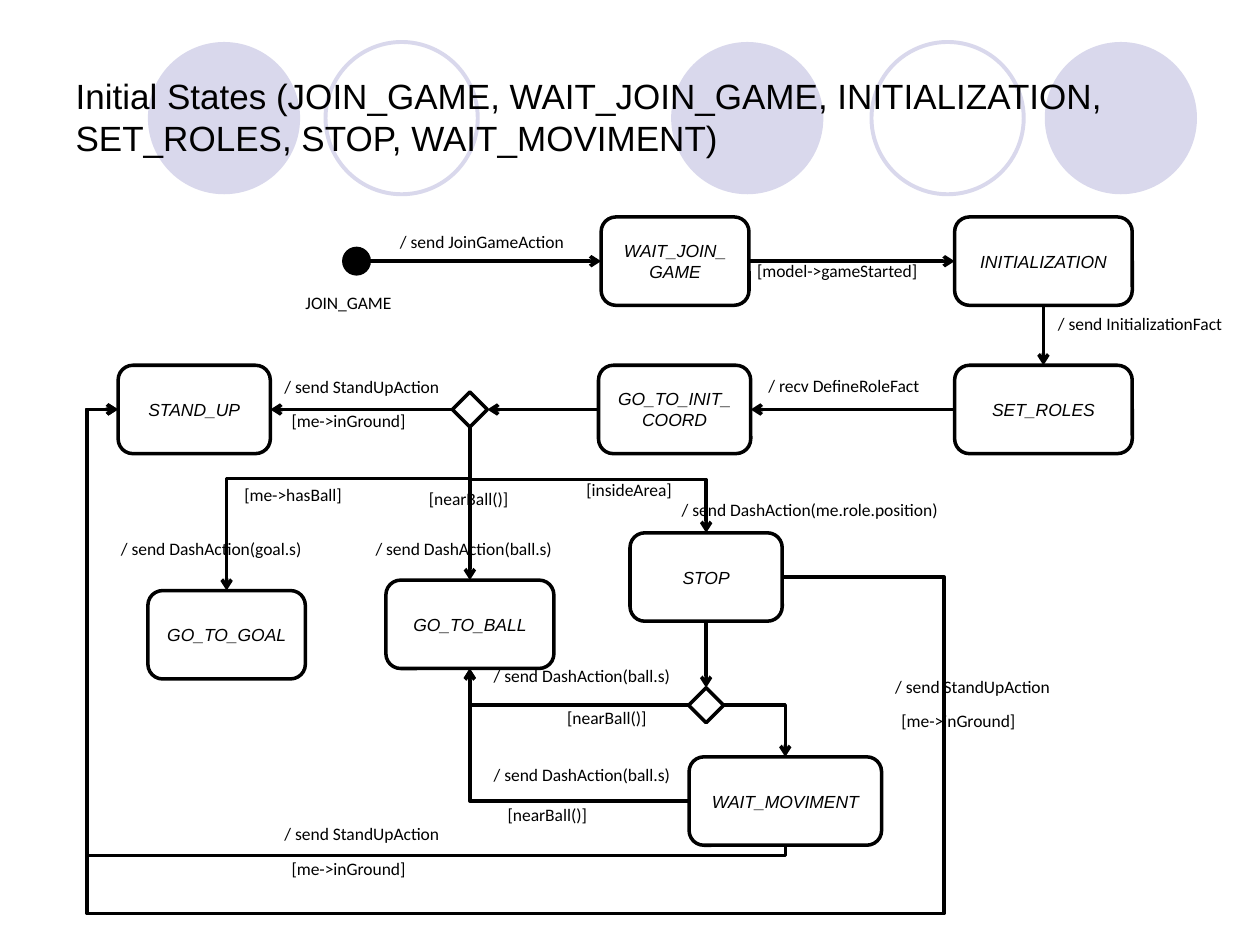
"""Build the slide with the state diagram of a robot team's initial states."""
from lxml import etree
from pptx import Presentation
from pptx import util as u
from pptx.dml import color
from pptx.enum import shapes, text
from pptx.oxml import ns

BLACK, WHITE, LILAC = "000000", "FFFFFF", "D9D8EC"
TOP, LEFT, BOTTOM, RIGHT = range(4)
TITLE = ("Initial States (JOIN_GAME, WAIT_JOIN_GAME, INITIALIZATION, "
         "SET_ROLES, STOP, WAIT_MOVIMENT)")
CIRCLE_SIZE = 87
CIRCLES = [(84.5, True), (186, False), (383.5, True), (498, False), (597, True)]

STATE_HEIGHT = 50.5
STATES = {
    "WAIT_JOIN_GAME": (343.5, 124, 84.5),
    "INITIALIZATION": (545.5, 124, 101.5),
    "SET_ROLES": (545.5, 208.75, 101.5),
    "GO_TO_INIT_COORD": (342, 208.75, 87),
    "STAND_UP": (67.5, 208.75, 87),
    "GO_TO_GOAL": (84.5, 337.5, 90),
    "GO_TO_BALL": (220.5, 331.5, 96),
    "STOP": (360, 304.5, 87),
    "WAIT_MOVIMENT": (393.75, 432.5, 110),
}
MARKERS = {
    "start": (shapes.MSO_SHAPE.OVAL, 196.5, 142, 14.5, BLACK),
    "role choice": (shapes.MSO_SHAPE.DIAMOND, 258.5, 224, 20, WHITE),
    "stop choice": (shapes.MSO_SHAPE.DIAMOND, 393.5, 393, 20, WHITE),
}
STRAIGHT_ARROWS = [
    ("start", RIGHT, "WAIT_JOIN_GAME", LEFT),
    ("WAIT_JOIN_GAME", RIGHT, "INITIALIZATION", LEFT),
    ("INITIALIZATION", BOTTOM, "SET_ROLES", TOP),
    ("SET_ROLES", LEFT, "GO_TO_INIT_COORD", RIGHT),
    ("GO_TO_INIT_COORD", LEFT, "role choice", RIGHT),
    ("role choice", LEFT, "STAND_UP", RIGHT),
    ("role choice", BOTTOM, "GO_TO_BALL", TOP),
    ("STOP", BOTTOM, "stop choice", TOP),
]
ELBOW_ARROWS = [
    ("role choice", BOTTOM, "GO_TO_GOAL", TOP, [273.5]),
    ("role choice", BOTTOM, "STOP", TOP, [274]),
    ("stop choice", RIGHT, "WAIT_MOVIMENT", TOP, []),
    ("stop choice", LEFT, "GO_TO_BALL", BOTTOM, []),
    ("WAIT_MOVIMENT", LEFT, "GO_TO_BALL", BOTTOM, []),
    ("STOP", RIGHT, "STAND_UP", LEFT, [539.5, 522, 49.5]),
    ("WAIT_MOVIMENT", BOTTOM, "STAND_UP", LEFT, [489, 49.5]),
]
LABELS = [
    ("/ send JoinGameAction", 108, [(221.5, 128.5)]),
    ("JOIN_GAME", 63.5, [(167.5, 163.5)]),
    ("[model->gameStarted]", 106, [(425.5, 145)]),
    ("/ send InitializationFact", 108.5, [(597.5, 175.5)]),
    ("/ recv DefineRoleFact", 101, [(432, 211)]),
    ("/ send StandUpAction", 103, [(155.5, 211.5), (155.5, 466.5), (504.5, 382.5)]),
    ("[me->inGround]", 79.5, [(159.5, 231), (159.5, 486.5), (508, 402)]),
    ("[me->hasBall]", 70, [(132.5, 273)]),
    ("[nearBall()]", 60, [(238, 275.5), (317, 400.5), (283, 456)]),
    ("[insideArea]", 63.5, [(328, 270)]),
    ("/ send DashAction(goal.s)", 117.5, [(62, 304)]),
    ("/ send DashAction(ball.s)", 115, [(207.5, 304), (275, 376.5), (275, 433)]),
    ("/ send DashAction(me.role.position)", 160.5, [(382.5, 281.5)]),
]


def rgb(code):
    """Return the colour for a hex string."""
    return color.RGBColor.from_string(code)


def write(shape, words, size=10, font="Calibri", italic=False, wrap=True,
          align=text.PP_ALIGN.LEFT, anchor=text.MSO_ANCHOR.MIDDLE,
          fit=text.MSO_AUTO_SIZE.NONE):
    """Put one formatted paragraph into a shape."""
    frame = shape.text_frame
    frame.word_wrap, frame.vertical_anchor, frame.auto_size = wrap, anchor, fit
    paragraph = frame.paragraphs[0]
    paragraph.alignment = align
    run = paragraph.add_run()
    run.text = words
    run.font.size, run.font.name, run.font.italic = u.Pt(size), font, italic
    run.font.color.rgb = rgb(BLACK)


def add_shape(slide, kind, left, top, width, height, fill=None, line=None, weight=2):
    """Add a preset shape without shadow."""
    shape = slide.shapes.add_shape(kind, *map(u.Pt, (left, top, width, height)))
    shape.shadow.inherit = False
    if fill:
        shape.fill.solid()
        shape.fill.fore_color.rgb = rgb(fill)
    else:
        shape.fill.background()
    if line:
        shape.line.color.rgb = rgb(line)
        shape.line.width = u.Pt(weight)
    else:
        shape.line.fill.background()
    return shape


def port(shape, side):
    """Return the middle of a side of a shape in points."""
    x, y, width, height = (value.pt for value in
                           (shape.left, shape.top, shape.width, shape.height))
    across, down = {TOP: (0.5, 0), LEFT: (0, 0.5),
                    BOTTOM: (0.5, 1), RIGHT: (1, 0.5)}[side]
    return x + across * width, y + down * height


def add_arrow(slide, kind, begin, end):
    """Add a black connector with an open arrowhead at its end."""
    connector = slide.shapes.add_connector(kind, *map(u.Pt, (*begin, *end)))
    connector.line.color.rgb = rgb(BLACK)
    connector.line.width = u.Pt(2)
    line = connector.line._get_or_add_ln()
    etree.SubElement(line, ns.qn("a:tailEnd"), type="arrow")
    etree.SubElement(connector.element.spPr, ns.qn("a:effectLst"))
    return connector


def add_straight(slide, nodes, source, source_side, target, target_side):
    """Join two nodes with a straight arrow."""
    connector = add_arrow(slide, shapes.MSO_CONNECTOR.STRAIGHT,
                          port(nodes[source], source_side),
                          port(nodes[target], target_side))
    if source != "start":
        connector.begin_connect(nodes[source], source_side)
    connector.end_connect(nodes[target], target_side)


def add_elbow(slide, nodes, source, source_side, target, target_side, turns):
    """Run an elbow arrow whose legs change direction at the given coordinates."""
    begin, end = port(nodes[source], source_side), port(nodes[target], target_side)
    dx, dy = end[0] - begin[0], end[1] - begin[1]
    vertical = source_side in (TOP, BOTTOM)
    rotation = 0
    local_begin, local_end = begin, end
    if vertical:
        rotation = 90 if dx < 0 < dy else 270
        step = (dy, -dx) if rotation == 90 else (-dy, dx)
        centre = begin[0] + dx / 2, begin[1] + dy / 2
        local_begin = [c - s / 2 for c, s in zip(centre, step)]
        local_end = [c + s / 2 for c, s in zip(centre, step)]
    connector = add_arrow(slide, shapes.MSO_CONNECTOR.ELBOW, local_begin, local_end)
    properties = connector.element.spPr
    if rotation:
        properties.find(ns.qn("a:xfrm")).set("rot", str(rotation * 60000))
    geometry = properties.find(ns.qn("a:prstGeom"))
    geometry.set("prst", f"bentConnector{len(turns) + 2}")
    guides = geometry.find(ns.qn("a:avLst"))
    for index, turn in enumerate(turns):
        axis = (index + vertical) % 2
        share = (turn - begin[axis]) / (end[axis] - begin[axis])
        etree.SubElement(guides, ns.qn("a:gd"), name=f"adj{index + 1}",
                         fmla=f"val {round(share * 100000)}")


def main():
    """Build and save the slide."""
    presentation = Presentation()
    presentation.slide_width, presentation.slide_height = u.Pt(720), u.Pt(540)
    slide = presentation.slides.add_slide(presentation.slide_layouts[5])

    for left, filled in CIRCLES:
        add_shape(slide, shapes.MSO_SHAPE.OVAL, left, 24, CIRCLE_SIZE, CIRCLE_SIZE,
                  fill=LILAC if filled else None,
                  line=None if filled else LILAC, weight=2.25)

    title = slide.shapes.title
    title.left, title.top, title.width, title.height = map(u.Pt, (36, 21.5, 648, 90))
    write(title, TITLE, size=20, font="Arial")
    title.element.getparent().append(title.element)

    nodes = {}
    for name, (left, top, width) in STATES.items():
        nodes[name] = add_shape(slide, shapes.MSO_SHAPE.ROUNDED_RECTANGLE, left, top,
                                width, STATE_HEIGHT, fill=WHITE, line=BLACK)
        write(nodes[name], name, font="Arial", italic=True, align=text.PP_ALIGN.CENTER)
    for name, (kind, left, top, size, fill) in MARKERS.items():
        nodes[name] = add_shape(slide, kind, left, top, size, size, fill=fill, line=BLACK)

    for arrow in STRAIGHT_ARROWS:
        add_straight(slide, nodes, *arrow)
    for arrow in ELBOW_ARROWS:
        add_elbow(slide, nodes, *arrow)

    for words, width, places in LABELS:
        for left, top in places:
            label = slide.shapes.add_textbox(*map(u.Pt, (left, top, width, 19.5)))
            write(label, words, wrap=False, anchor=text.MSO_ANCHOR.TOP,
                  fit=text.MSO_AUTO_SIZE.SHAPE_TO_FIT_TEXT)

    presentation.save("out.pptx")


if __name__ == "__main__":
    main()
